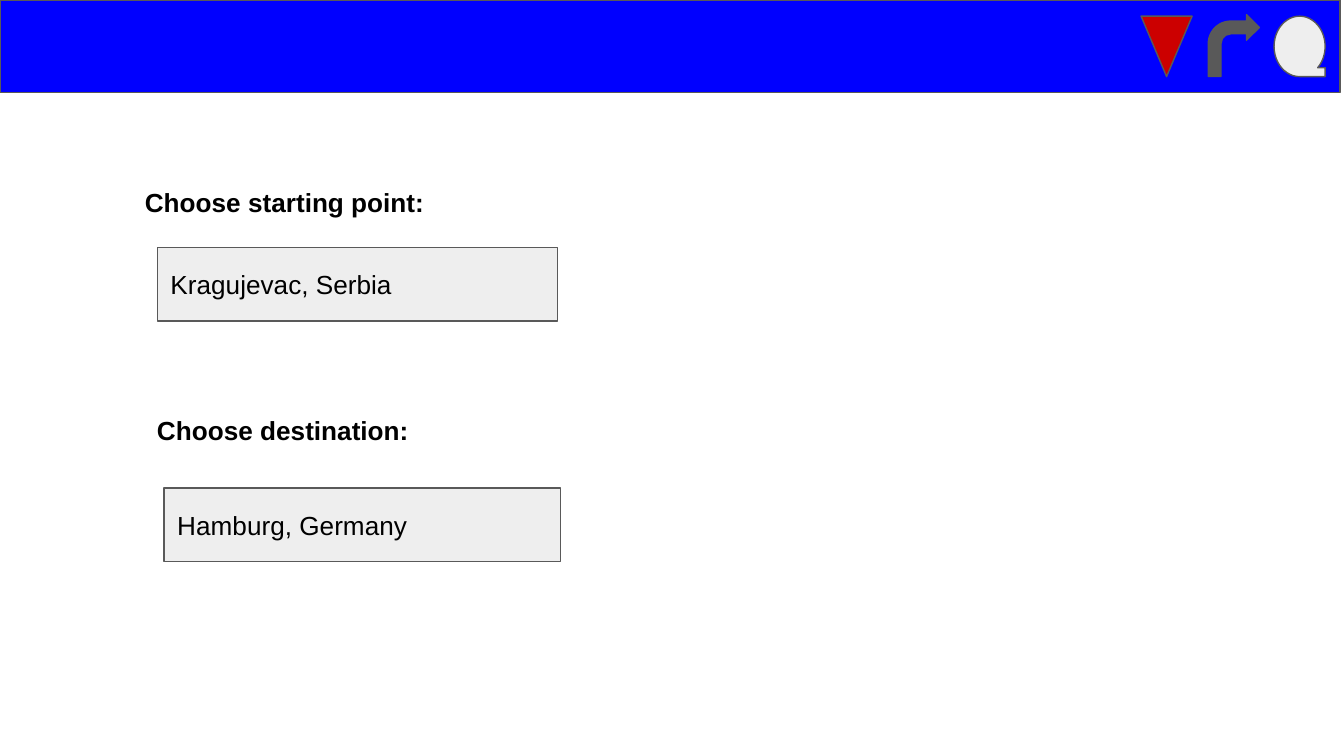
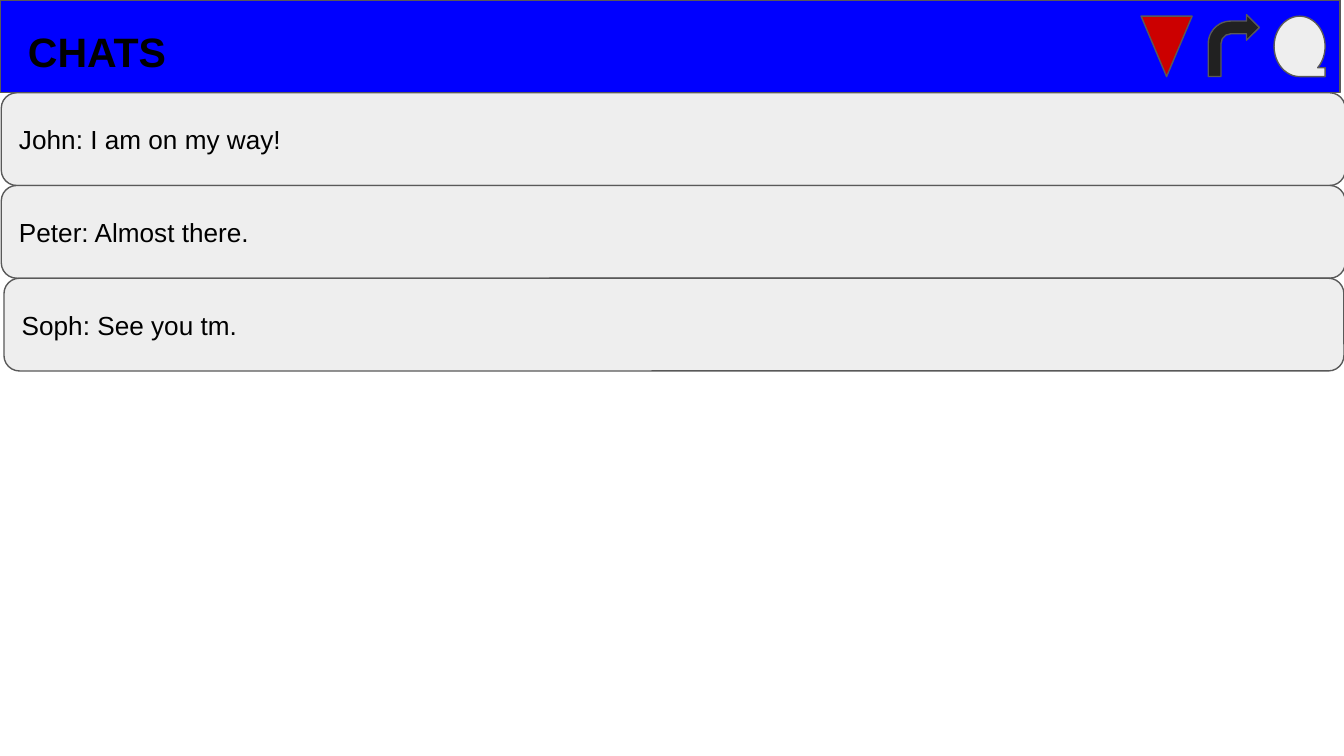
from pptx import Presentation
from pptx.dml.color import RGBColor
from pptx.enum.shapes import MSO_SHAPE
from pptx.enum.text import MSO_ANCHOR, MSO_AUTO_SIZE, PP_ALIGN
from pptx.util import Inches, Pt

COLORS = {
    "band": "0000FF",
    "line": "595959",
    "dark": "212121",
    "alert": "CC0000",
    "panel": "EEEEEE",
    "text": "000000",
}
WIDTH = Inches(10)
SIZE = {"slide_width": WIDTH, "slide_height": WIDTH * 9 // 16}
BODY = {"name": "Arial", "size": Pt(14), "bold": False}
LABEL = {**BODY, "bold": True}
TITLE = {**LABEL, "size": Pt(22)}
INSET = Inches(0.1)
FRAME = {
    "word_wrap": True,
    "margin_left": INSET,
    "margin_top": INSET,
    "margin_right": INSET,
    "margin_bottom": INSET,
}
FIELD = {**FRAME, "vertical_anchor": MSO_ANCHOR.MIDDLE}
CAPTION = {
    **FRAME,
    "vertical_anchor": MSO_ANCHOR.TOP,
    "auto_size": MSO_AUTO_SIZE.SHAPE_TO_FIT_TEXT,
}
BAND = (0, 0, 9.97, 0.69)


def color(key):
    return RGBColor.from_string(COLORS[key])


def apply(target, values):
    for key, value in values.items():
        setattr(target, key, value)


def write(shape, text, frame, font):
    apply(shape.text_frame, frame)
    par = shape.text_frame.paragraphs[0]
    par.alignment = PP_ALIGN.LEFT
    run = par.add_run()
    run.text = text
    apply(run.font, font)
    run.font.color.rgb = color("text")


def add_shape(slide, kind, box, fill):
    shape = slide.shapes.add_shape(kind, *map(Inches, box))
    shape.shadow.inherit = False
    shape.fill.solid()
    shape.fill.fore_color.rgb = color(fill)
    shape.line.color.rgb = color("line")
    shape.line.width = Pt(0.75)
    return shape


def add_label(slide, box, text, font):
    label = slide.shapes.add_textbox(*map(Inches, box))
    write(label, text, CAPTION, font)


def add_field(slide, kind, box, text):
    field = add_shape(slide, kind, box, "panel")
    write(field, text, FIELD, BODY)


def add_header(slide, box, arrow, title=None):
    left, top, width, height = box
    add_shape(slide, MSO_SHAPE.RECTANGLE, box, "band")
    right = left + width
    turn = add_shape(slide, MSO_SHAPE.BENT_ARROW,
                     (right - 0.98, top + 0.11, 0.38, 0.46), arrow)
    turn.adjustments[3] = 0.44
    for kind, back, fill in (
        (MSO_SHAPE.FLOWCHART_MERGE, 1.48, "alert"),
        (MSO_SHAPE.FLOWCHART_SEQUENTIAL_ACCESS_STORAGE, 0.49, "panel"),
    ):
        add_shape(slide, kind, (right - back, top + 0.12, 0.38, 0.45), fill)
    if title:
        add_label(slide, (left + 0.11, top + 0.1, 3, 0.57), title, TITLE)


def add_prompt(slide, box, text, width, answer, shift, drop):
    left, top, span, height = box
    add_label(slide, (left, top, width, 0.44), text, LABEL)
    add_field(slide, MSO_SHAPE.RECTANGLE,
              (left + shift, top + drop, span - shift, height - drop), answer)


def add_chats(slide, box, chats):
    left, top, width, height = box
    step = height / len(chats)
    for index, (text, shift) in enumerate(chats):
        row = (left + shift, top + index * step, width - 1.5 * shift, step)
        add_field(slide, MSO_SHAPE.ROUNDED_RECTANGLE, row, text)


def build_route(slide):
    add_header(slide, BAND, "line")
    add_prompt(slide, (0.98, 1.29, 3.17, 1.1), "Choose starting point:", 2.8,
               "Kragujevac, Serbia", 0.19, 0.55)
    add_prompt(slide, (1.07, 2.98, 3.1, 1.2), "Choose destination:", 2.4,
               "Hamburg, Germany", 0.15, 0.65)


def build_chats(slide):
    add_header(slide, BAND, "dark", "CHATS")
    add_chats(slide, (0.01, BAND[3], 10, 3 * BAND[3]), (
        ("John: I am on my way!", 0),
        ("Peter: Almost there.", 0),
        ("Soph: See you tm.", 0.02),
    ))


def main():
    deck = Presentation()
    apply(deck, SIZE)
    for build in (build_route, build_chats):
        build(deck.slides.add_slide(deck.slide_layouts[6]))
    deck.save("out.pptx")


if __name__ == "__main__":
    main()
